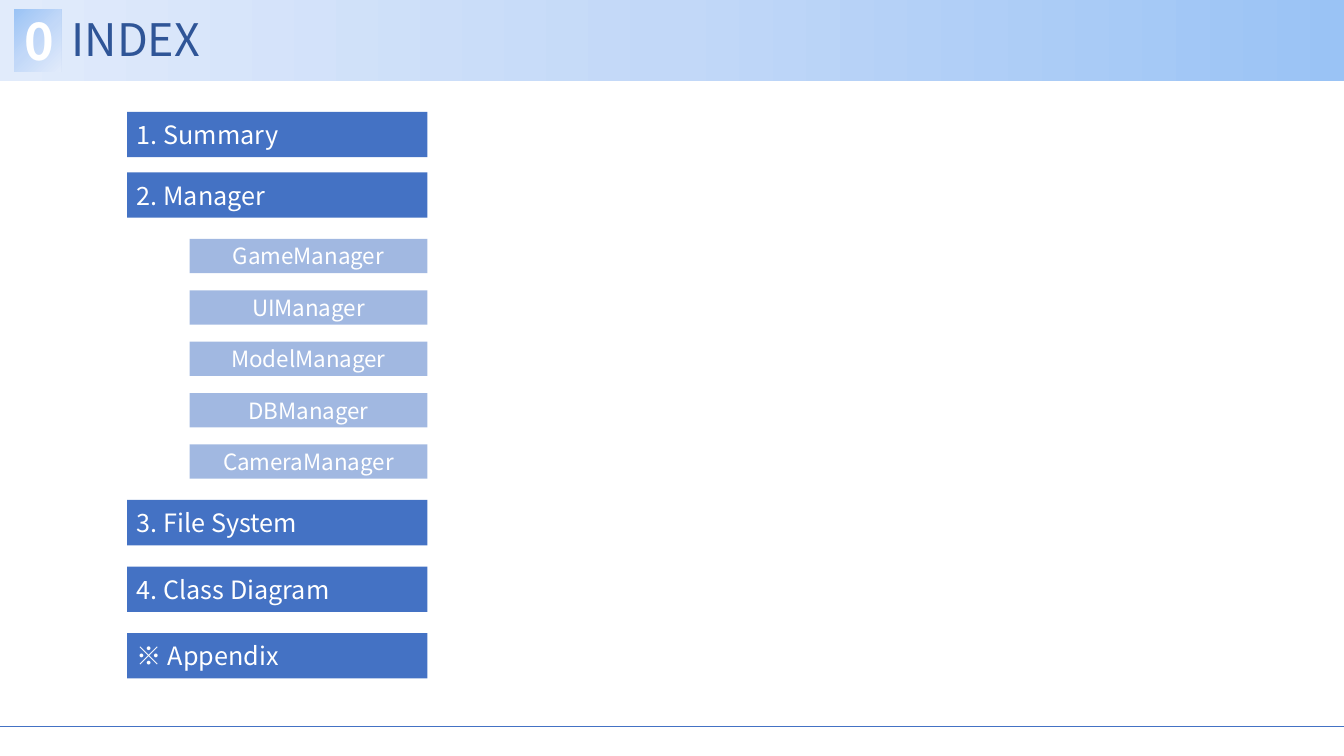
from copy import deepcopy

from lxml import etree
from pptx import Presentation
from pptx.dml.color import RGBColor
from pptx.enum import shapes, text
from pptx.oxml.ns import qn
from pptx.util import Inches, Pt

FONT = "Noto Sans CJK KR"
WHITE = RGBColor(0xFF, 0xFF, 0xFF)
BLUE = RGBColor(0x44, 0x72, 0xC4)
NAVY = RGBColor(0x2F, 0x55, 0x97)
SHADES = [
    (0, RGBColor(0x9A, 0xC3, 0xF5)),
    (0.5, RGBColor(0xC2, 0xD8, 0xF8)),
    (1, RGBColor(0xE1, 0xEB, 0xFB)),
]

TITLE = "INDEX"
NUMBER = "0"
# Each group: top of its first bar, step between bars, labels
PARTS = [
    (1.11, 0.6, ["1. Summary", "2. Manager"]),
    (4.96, 0.66, ["3. File System", "4. Class Diagram", "※ Appendix"]),
]
MANAGERS = (2.37, 0.51, ["GameManager", "UIManager", "ModelManager",
                         "DBManager", "CameraManager"])

WIDTH, HEIGHT = 13.33, 7.5
RIGHT = 4.24
PART_W, PART_H = 2.98, 0.45
ITEM_W, ITEM_H = 2.36, 0.34
RULE_Y = 7.21


def write(shape, words, size, color, align, anchor, bold=False):
    frame = shape.text_frame
    frame.text = words
    frame.word_wrap = True
    frame.auto_size = text.MSO_AUTO_SIZE.NONE
    frame.vertical_anchor = anchor
    para = frame.paragraphs[0]
    para.alignment = align
    font = para.runs[0].font
    font.size, font.bold, font.name = Pt(size), bold, FONT
    font.color.rgb = color
    # East Asian symbols take their own typeface entry
    props = para.runs[0]._r.get_or_add_rPr()
    etree.SubElement(props, qn("a:ea"), typeface=FONT)


def add_box(slide, left, top, width, height):
    box = slide.shapes.add_shape(
        shapes.MSO_SHAPE.RECTANGLE,
        Inches(left), Inches(top), Inches(width), Inches(height))
    box.shadow.inherit = False
    box.line.fill.background()
    return box


def shade(box, angle):
    """Fill a box with the three-stop blue gradient."""
    box.fill.gradient()
    box.fill.gradient_angle = angle
    stops = box._element.spPr.find(".//" + qn("a:gsLst"))
    stops.append(deepcopy(stops[0]))
    for stop, (place, color) in zip(box.fill.gradient_stops, SHADES):
        stop.position = place
        stop.color.rgb = color


def add_bars(slide, group, width, height, size, align, alpha=None):
    """Stack one labelled bar per name, flush with the right edge."""
    top, step, names = group
    for row, name in enumerate(names):
        bar = add_box(slide, RIGHT - width, top + row * step, width, height)
        bar.fill.solid()
        bar.fill.fore_color.rgb = BLUE
        if alpha:
            color = bar._element.spPr.find(".//" + qn("a:srgbClr"))
            etree.SubElement(color, qn("a:alpha"), val=str(alpha * 1000))
        write(bar, name, size, WHITE, align, text.MSO_ANCHOR.MIDDLE)


def main():
    deck = Presentation()
    deck.slide_width, deck.slide_height = Inches(WIDTH), Inches(HEIGHT)
    slide = deck.slides.add_slide(deck.slide_layouts[5])

    band = add_box(slide, 0, 0, WIDTH, 0.8)
    shade(band, 180)
    slide.shapes._spTree.insert(2, band._element)  # behind the title

    badge = add_box(slide, 0.14, 0.09, 0.47, 0.62)
    shade(badge, 315)
    write(badge, NUMBER, 36, WHITE, text.PP_ALIGN.CENTER,
          text.MSO_ANCHOR.MIDDLE, bold=True)

    title = slide.shapes.title
    title.left, title.top = Inches(0.61), Inches(0.09)
    title.width, title.height = Inches(8.79), Inches(0.62)
    write(title, TITLE, 32, NAVY, text.PP_ALIGN.LEFT, text.MSO_ANCHOR.BOTTOM)
    title.text_frame.paragraphs[0].line_spacing = 0.9

    for group in PARTS:
        add_bars(slide, group, PART_W, PART_H, 18, text.PP_ALIGN.LEFT)
    add_bars(slide, MANAGERS, ITEM_W, ITEM_H, 16, text.PP_ALIGN.CENTER, 50)

    rule = slide.shapes.add_connector(
        shapes.MSO_CONNECTOR.STRAIGHT,
        Inches(0), Inches(RULE_Y), Inches(WIDTH), Inches(RULE_Y))
    rule.line.color.rgb = BLUE
    rule.line.width = Pt(0.5)
    etree.SubElement(rule._element.spPr, qn("a:effectLst"))

    deck.save("out.pptx")


if __name__ == "__main__":
    main()
